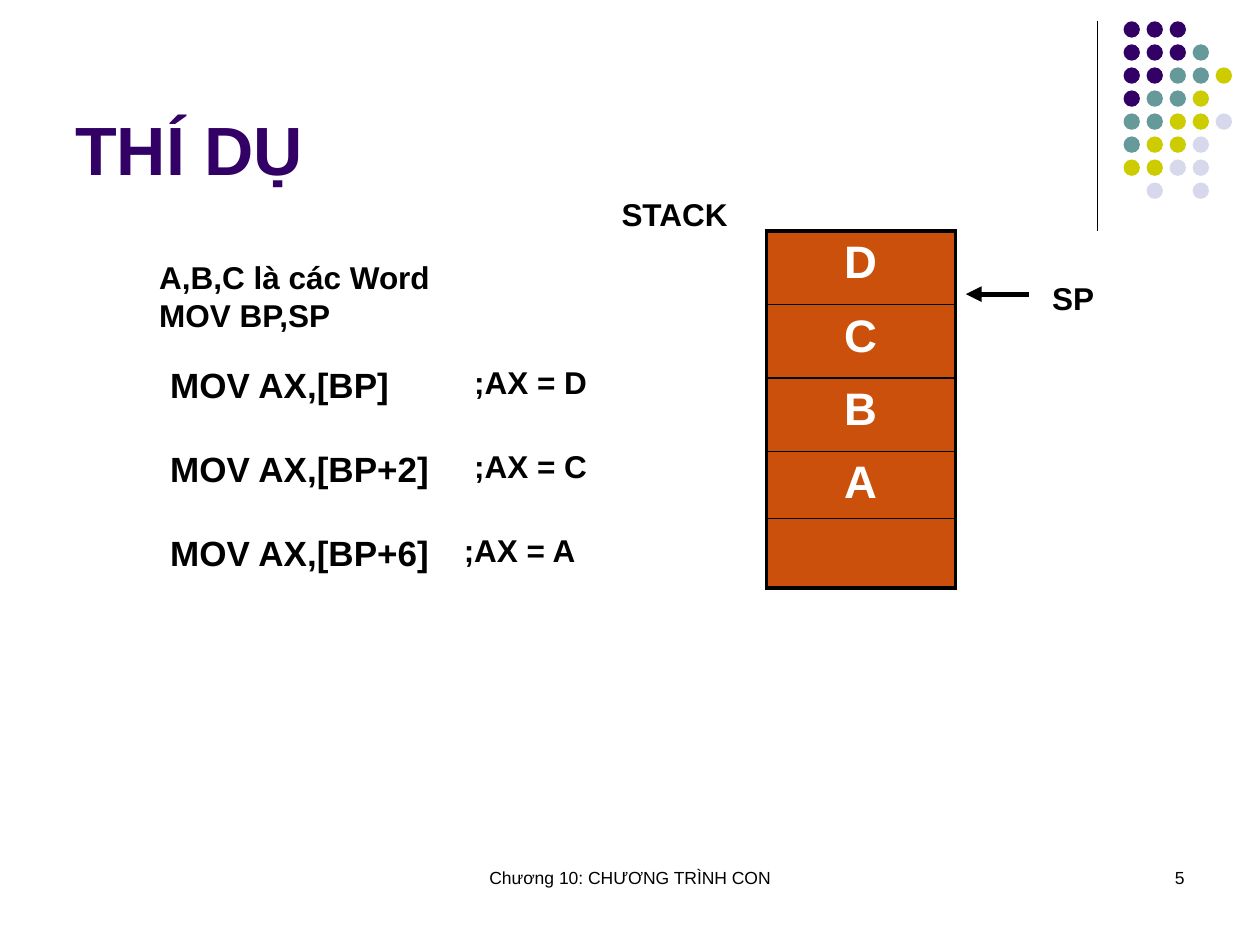
import lxml.etree
import pptx
import pptx.dml.color
import pptx.enum.shapes
import pptx.enum.text
import pptx.oxml.ns
import pptx.util

Cm = pptx.util.Cm
Pt = pptx.util.Pt
qn = pptx.oxml.ns.qn
ALIGN = pptx.enum.text.PP_ALIGN
ANCHOR = pptx.enum.text.MSO_ANCHOR

COLORS = {
    "black": "000000", "white": "FFFFFF", "orange": "CB500B",
    "purple": "330066", "teal": "669999", "lime": "CCCC00", "pale": "D8D8EC",
}
DOT_COLORS = {"P": "purple", "T": "teal", "L": "lime", "W": "pale"}
DOT_ROWS = ["PPP", "PPPT", "PPTTL", "PTTL", "TTLLW", "TLLW", "LLWW", ".W.W"]

TITLE = "THÍ DỤ"
FOOTER = "Chương 10: CHƯƠNG TRÌNH CON"
PAGE = "5"
STACK = ["D", "C", "B", "A", ""]
STACK_HEIGHTS = [1.48, 1.48, 1.48, 1.28, 1.4]
LABELS = [
    ("SP", 20.96, 5.5, 1.48, 1.02),
    ("STACK", 12.28, 3.81, 3.6, 1.02),
    ("A,B,C là các Word\vMOV BP,SP", 2.96, 5.08, 6.77, 1.78),
]
INSTRUCTIONS = [
    ("MOV AX,[BP]", ";AX = D", 9.31),
    ("MOV AX,[BP+2]", ";AX = C", 9.31),
    ("MOV AX,[BP+6]", ";AX = A", 9.1),
]


def rgb(name):
    return pptx.dml.color.RGBColor.from_string(COLORS[name])


def write(frame, text, size=18, color="black", bold=True, align=ALIGN.LEFT, anchor=ANCHOR.TOP):
    frame.word_wrap = True
    frame.vertical_anchor = anchor
    paragraph = frame.paragraphs[0]
    paragraph.text = text
    paragraph.alignment = align
    for run in paragraph.runs:
        run.font.name = "Arial"
        run.font.size = Pt(size)
        run.font.bold = bold
        run.font.color.rgb = rgb(color)


def label(slide, text, left, top, width, height, **style):
    box = slide.shapes.add_textbox(Cm(left), Cm(top), Cm(width), Cm(height))
    write(box.text_frame, text, **style)


def add_line(slide, x1, y1, x2, y2, width):
    line = slide.shapes.add_connector(
        pptx.enum.shapes.MSO_CONNECTOR.STRAIGHT, Cm(x1), Cm(y1), Cm(x2), Cm(y2))
    line.line.color.rgb = rgb("black")
    line.line.width = Pt(width)
    lxml.etree.SubElement(line._element.spPr, qn("a:effectLst"))
    return line


def add_dots(slide):
    left, top, size = 22.65, 0.43, 0.33
    pitch = (3.68 - top) / (len(DOT_ROWS) - 1)
    for row, codes in enumerate(DOT_ROWS):
        for column, code in enumerate(codes):
            if code in DOT_COLORS:
                dot = slide.shapes.add_shape(
                    pptx.enum.shapes.MSO_SHAPE.OVAL, Cm(left + column * pitch),
                    Cm(top + row * pitch), Cm(size), Cm(size))
                dot.shadow.inherit = False
                dot.fill.solid()
                dot.fill.fore_color.rgb = rgb(DOT_COLORS[code])
                dot.line.fill.background()


def add_borders(cell, widths):
    properties = cell._tc.get_or_add_tcPr()
    for side, width in widths.items():
        edge = lxml.etree.SubElement(properties, qn("a:ln" + side), w=str(Pt(width)))
        fill = lxml.etree.SubElement(edge, qn("a:solidFill"))
        lxml.etree.SubElement(fill, qn("a:srgbClr"), val=COLORS["black"])


def add_stack(slide):
    table = slide.shapes.add_table(
        len(STACK), 1, Cm(15.45), Cm(4.66), Cm(3.81), Cm(sum(STACK_HEIGHTS))).table
    table.first_row = False
    table.horz_banding = False
    outer, inner = 2.25, 1
    last = len(STACK) - 1
    for row, (word, height) in enumerate(zip(STACK, STACK_HEIGHTS)):
        table.rows[row].height = Cm(height)
        cell = table.cell(row, 0)
        write(cell.text_frame, word, size=26, color="white", align=ALIGN.CENTER)
        add_borders(cell, {
            "L": outer, "R": outer,
            "T": outer if row == 0 else inner,
            "B": outer if row == last else inner,
        })
        cell.fill.solid()
        cell.fill.fore_color.rgb = rgb("orange")


def main():
    deck = pptx.Presentation()
    deck.slide_width, deck.slide_height = Cm(25.4), Cm(19.05)
    slide = deck.slides.add_slide(deck.slide_layouts[6])

    add_line(slide, 22.12, 0.42, 22.12, 4.66, 0.75)
    add_dots(slide)
    label(slide, FOOTER, 8.68, 17.36, 8.04, 1.27, size=10, bold=False, align=ALIGN.CENTER)
    label(slide, PAGE, 18.2, 17.36, 5.93, 1.27, size=10, bold=False, align=ALIGN.RIGHT)
    label(slide, TITLE, 1.27, 0.33, 20.95, 3.6, size=39, color="purple", anchor=ANCHOR.BOTTOM)

    add_stack(slide)
    pointer = add_line(slide, 20.74, 5.93, 19.47, 5.93, 3)
    lxml.etree.SubElement(pointer.line._get_or_add_ln(), qn("a:tailEnd"), type="triangle")
    for text, left, top, width, height in LABELS:
        label(slide, text, left, top, width, height)
    for step, (code, result, result_left) in enumerate(INSTRUCTIONS):
        top = 7.2 + step * 1.69
        label(slide, code, 3.18, top, 6.35, 1.09, size=20)
        label(slide, result, result_left, top, 3.39, 1.02)

    deck.save("out.pptx")


if __name__ == "__main__":
    main()
